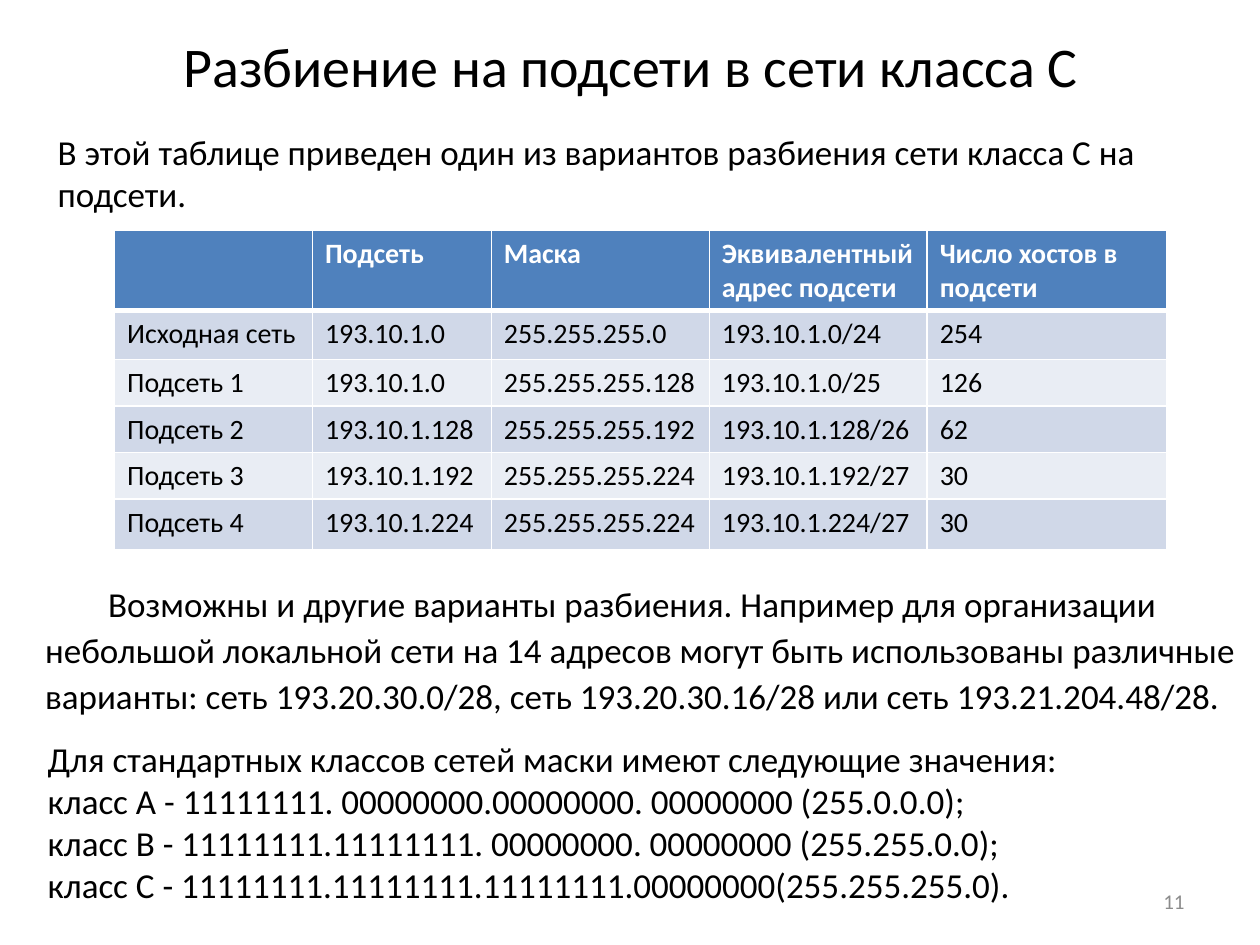
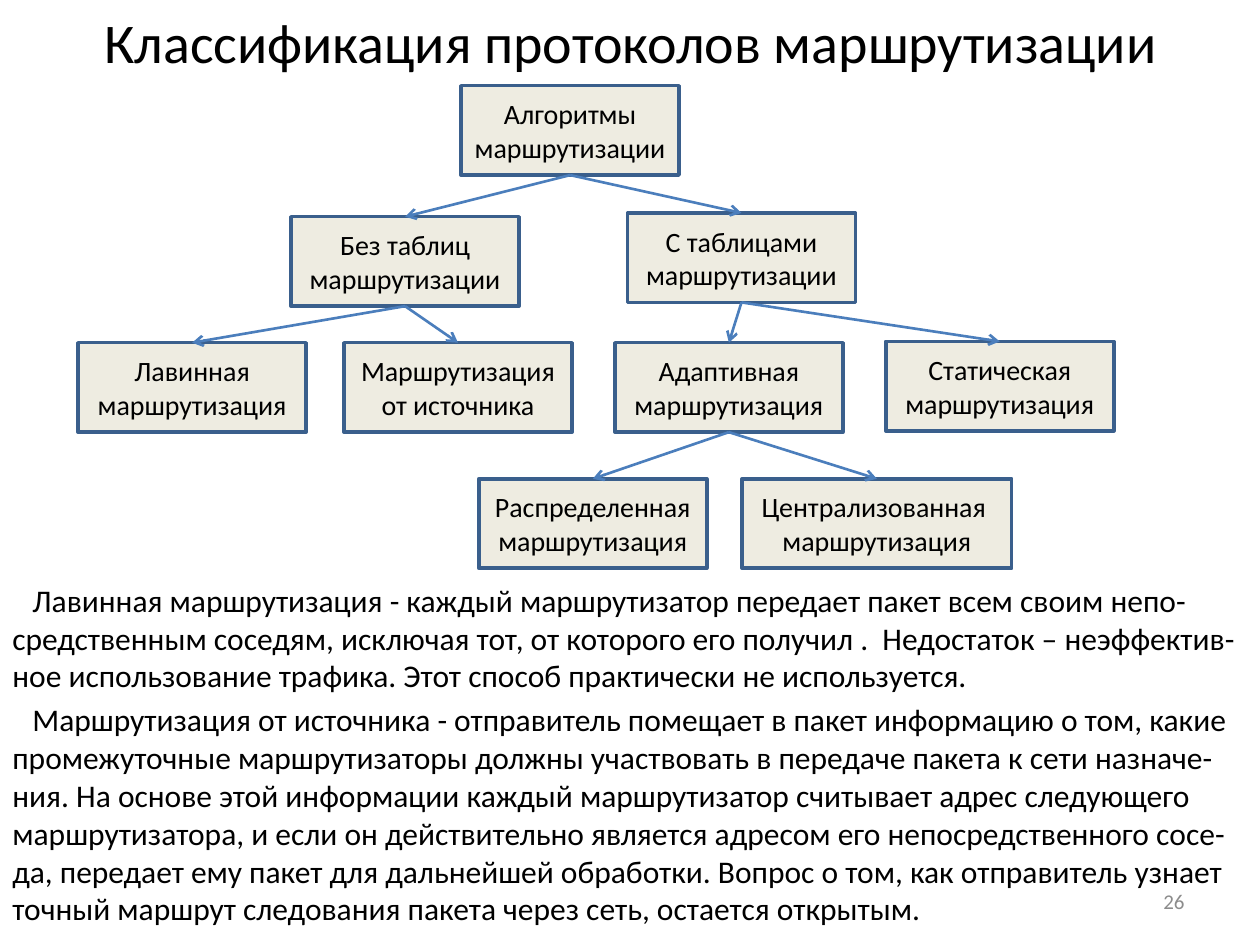
"""Build two slides on subnetting and routing protocols."""
import pptx
import pptx.dml.color
import pptx.enum.shapes
import pptx.enum.text
import pptx.oxml
import pptx.oxml.ns
import pptx.util
from lxml import etree

Inches = pptx.util.Inches
Pt = pptx.util.Pt
ALIGN = pptx.enum.text.PP_ALIGN
ANCHOR = pptx.enum.text.MSO_ANCHOR

FONT = "Calibri"
COLORS = {
    "text": "000000",
    "number": "8C8C8C",
    "white": "FFFFFF",
    "header": "4F81BD",
    "band_dark": "D0D8E8",
    "band_light": "E9EDF4",
    "node_fill": "EEECE1",
    "node_line": "3A5F8C",
    "arrow": "4B7EBC",
}
NUMBER_BOX = (7.17, 6.95, 2.33, 0.4)

SUBNET_COLUMNS = [1.57, 1.42, 1.73, 1.73, 1.9]
SUBNET_HEIGHTS = [0.63, 0.39, 0.37, 0.37, 0.37, 0.4]
SUBNETS = [
    ["", "Подсеть", "Маска", "Эквивалентный адрес подсети", "Число хостов в подсети"],
    ["Исходная сеть", "193.10.1.0", "255.255.255.0", "193.10.1.0/24", "254"],
    ["Подсеть 1", "193.10.1.0", "255.255.255.128", "193.10.1.0/25", "126"],
    ["Подсеть 2", "193.10.1.128", "255.255.255.192", "193.10.1.128/26", "62"],
    ["Подсеть 3", "193.10.1.192", "255.255.255.224", "193.10.1.192/27", "30"],
    ["Подсеть 4", "193.10.1.224", "255.255.255.224", "193.10.1.224/27", "30"],
]
SUBNET_INTRO = ["В этой таблице приведен один из вариантов разбиения сети класса С на подсети."]
SUBNET_VARIANTS = [
    "Возможны и другие варианты разбиения. Например для организации небольшой "
    "локальной сети на 14 адресов могут быть использованы различные варианты: "
    "сеть 193.20.30.0/28, сеть 193.20.30.16/28 или сеть 193.21.204.48/28."
]
CLASS_MASKS = [
    "Для стандартных классов сетей маски имеют следующие значения:",
    "класс А - 11111111. 00000000.00000000. 00000000 (255.0.0.0);",
    "класс В - 11111111.11111111. 00000000. 00000000 (255.255.0.0);",
    "класс С - 11111111.11111111.11111111.00000000(255.255.255.0).",
]

NODE_WIDTH, NODE_HEIGHT = 1.81, 0.71
ALGORITHMS = {
    "root": ("Алгоритмы маршрутизации", None, 3.04, 0, 1.73),
    "tableless": ("Без таблиц маршрутизации", "root", 1.69, 1.04, NODE_WIDTH),
    "tabled": ("С таблицами маршрутизации", "root", 4.36, 1.01, NODE_WIDTH),
    "flooding": ("Лавинная маршрутизация", "tableless", 0, 2.04, NODE_WIDTH),
    "source": ("Маршрутизация от источника", "tableless", 2.11, 2.04, NODE_WIDTH),
    "adaptive": ("Адаптивная маршрутизация", "tabled", 4.26, 2.04, NODE_WIDTH),
    "static": ("Статическая маршрутизация", "tabled", 6.41, 2.03, NODE_WIDTH),
    "distributed": ("Распределенная\vмаршрутизация", "adaptive", 3.18, 3.12, NODE_WIDTH),
    "central": ("Централизованная  маршрутизация", "adaptive", 5.27, 3.12, 2.14),
}
ROUTING_NOTES = [
    "Лавинная маршрутизация - каждый маршрутизатор передает пакет всем своим "
    "непо-средственным соседям, исключая тот, от которого его получил .  Недостаток – "
    "неэффектив-ное использование трафика. Этот способ практически не используется.",
    "Маршрутизация от источника - отправитель помещает в пакет информацию о том, какие "
    "промежуточные маршрутизаторы должны участвовать в передаче пакета к сети назначе-ния. "
    "На основе этой информации каждый маршрутизатор считывает адрес следующего "
    "маршрутизатора, и если он действительно является адресом его непосредственного "
    "сосе-да, передает ему пакет для дальнейшей обработки. Вопрос о том, как отправитель "
    "узнает точный маршрут следования пакета через сеть, остается открытым.",
]


def color(name):
    """Return the named palette colour."""
    return pptx.dml.color.RGBColor.from_string(COLORS[name])


def inches(box):
    """Convert a box of numbers to lengths."""
    return [Inches(value) for value in box]


def format_paragraph(para, size, ink="text", bold=False, align=ALIGN.LEFT):
    """Style a paragraph and all its runs."""
    para.alignment = align
    for span in para.runs:
        span.font.name = FONT
        span.font.size = Pt(size)
        span.font.bold = bold
        span.font.color.rgb = color(ink)


def add_text(page, box, lines, size, ink="text", align=ALIGN.LEFT, anchor=ANCHOR.TOP,
             indent=0, spacing=None, before=0):
    """Add a wrapped text box with one paragraph per line."""
    frame = page.shapes.add_textbox(*inches(box)).text_frame
    frame.word_wrap = True
    frame.vertical_anchor = anchor
    frame.text = "\n".join(lines)
    for para in frame.paragraphs:
        format_paragraph(para, size, ink, align=align)
        para.space_before = Pt(before)
        if spacing:
            para.line_spacing = spacing
        if indent:
            para._p.get_or_add_pPr().set("indent", str(Inches(indent)))


def add_page(deck, title, title_box, number):
    """Add a blank slide with its title and number."""
    page = deck.slides.add_slide(deck.slide_layouts[6])
    add_text(page, title_box, [title], 32, align=ALIGN.CENTER, anchor=ANCHOR.MIDDLE)
    add_text(page, NUMBER_BOX, [str(number)], 12, "number", ALIGN.RIGHT, ANCHOR.MIDDLE)
    return page


def set_borders(cell, bottom):
    """Draw white cell borders with the given bottom width."""
    properties = cell._tc.get_or_add_tcPr()
    for side in "LRTB":
        width = Pt(bottom if side == "B" else 1)
        properties.append(pptx.oxml.parse_xml(
            f'<a:ln{side} {pptx.oxml.ns.nsdecls("a")} w="{width}"><a:solidFill>'
            f'<a:srgbClr val="{COLORS["white"]}"/></a:solidFill></a:ln{side}>'))


def add_subnet_table(page, left, top):
    """Add the banded table of subnets at the given corner."""
    box = (left, top, sum(SUBNET_COLUMNS), sum(SUBNET_HEIGHTS))
    table = page.shapes.add_table(len(SUBNETS), len(SUBNET_COLUMNS), *inches(box)).table
    for column, width in zip(table.columns, SUBNET_COLUMNS):
        column.width = Inches(width)
    for index, (row, height) in enumerate(zip(table.rows, SUBNET_HEIGHTS)):
        row.height = Inches(height)
        header = index == 0
        band = "header" if header else "band_dark" if index % 2 else "band_light"
        for cell, value in zip(row.cells, SUBNETS[index]):
            set_borders(cell, 3 if header else 1)
            cell.fill.solid()
            cell.fill.fore_color.rgb = color(band)
            cell.text = value
            format_paragraph(cell.text_frame.paragraphs[0], 16,
                             "white" if header else "text", header)


def add_node(page, box, label):
    """Add one rectangle of the classification tree."""
    node = page.shapes.add_shape(pptx.enum.shapes.MSO_SHAPE.RECTANGLE, *inches(box))
    node.shadow.inherit = False
    node.fill.solid()
    node.fill.fore_color.rgb = color("node_fill")
    node.line.color.rgb = color("node_line")
    node.line.width = Pt(2)
    frame = node.text_frame
    frame.word_wrap = True
    frame.vertical_anchor = ANCHOR.MIDDLE
    frame.text = label
    frame.paragraphs[0].text = label
    format_paragraph(frame.paragraphs[0], 16, align=ALIGN.CENTER)
    return node


def add_arrow(page, parent, child):
    """Join a parent's bottom to a child's top with an arrow."""
    arrow = page.shapes.add_connector(pptx.enum.shapes.MSO_CONNECTOR.STRAIGHT, 0, 0, 0, 0)
    arrow.begin_connect(parent, 2)
    arrow.end_connect(child, 0)
    arrow.line.color.rgb = color("arrow")
    arrow.line.width = Pt(1.5)
    line = arrow.line._get_or_add_ln()
    etree.SubElement(line, pptx.oxml.ns.qn("a:tailEnd"), type="arrow")
    etree.SubElement(arrow._element.spPr, pptx.oxml.ns.qn("a:effectLst"))


def add_algorithm_tree(page, left, top):
    """Add the tree of routing algorithms at the given corner."""
    nodes = {}
    for name, (label, _, x, y, width) in ALGORITHMS.items():
        nodes[name] = add_node(page, (left + x, top + y, width, NODE_HEIGHT), label)
    for name, (_, parent, *_) in ALGORITHMS.items():
        if parent:
            add_arrow(page, nodes[parent], nodes[name])


def build_subnets(deck):
    """Build the slide on splitting a class C network."""
    page = add_page(deck, "Разбиение на подсети в сети класса С", (0.51, 0.21, 9, 0.61), 11)
    add_text(page, (0.36, 0.99, 9.21, 0.77), SUBNET_INTRO, 20)
    add_subnet_table(page, 0.91, 1.83)
    add_text(page, (0.26, 4.54, 9.69, 1.34), SUBNET_VARIANTS, 20,
             indent=0.5, spacing=1.1, before=4)
    add_text(page, (0.28, 5.8, 9.29, 1.45), CLASS_MASKS, 20)


def build_routing(deck):
    """Build the slide on the classes of routing protocols."""
    page = add_page(deck, "Классификация протоколов маршрутизации", (0.51, -0.02, 9, 0.69), 26)
    add_algorithm_tree(page, 0.62, 0.68)
    add_text(page, (0, 4.56, 10, 2.91), ROUTING_NOTES, 18, indent=0.16, before=3.6)


def main():
    """Create and save the deck."""
    deck = pptx.Presentation()
    deck.slide_width, deck.slide_height = Inches(10), Inches(7.5)
    build_subnets(deck)
    build_routing(deck)
    deck.save("out.pptx")


if __name__ == "__main__":
    main()
